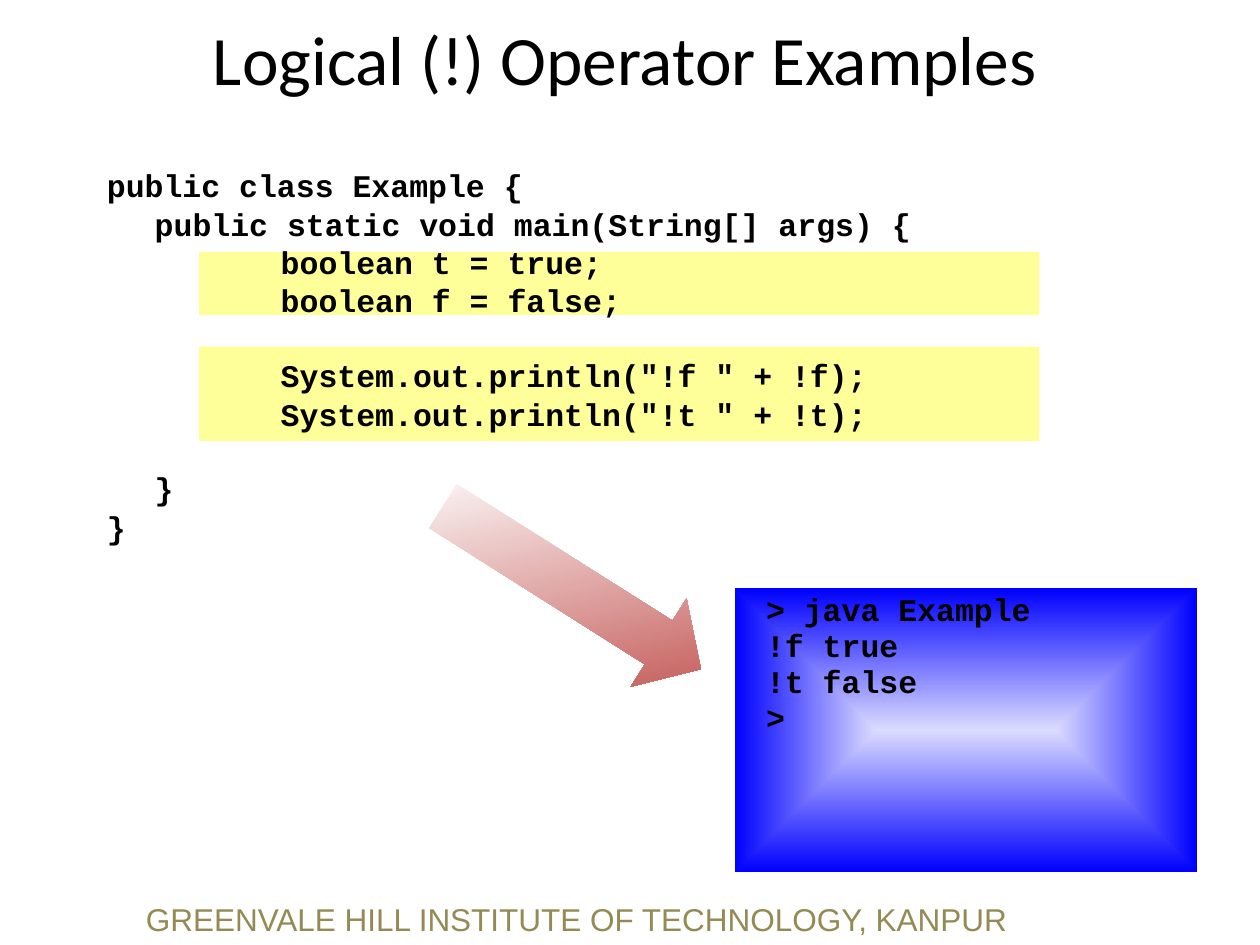
from dataclasses import dataclass

from lxml.etree import SubElement
from pptx import Presentation
from pptx.dml.color import RGBColor
from pptx.enum.shapes import MSO_SHAPE
from pptx.enum.text import MSO_ANCHOR, PP_ALIGN
from pptx.oxml.ns import qn
from pptx.util import Inches, Pt

HUES = {
    "black": "000000", "white": "FFFFFF", "yellow": "FFFF99",
    "red": "C0504D", "pale": "DBDBFF", "blue": "0000FF", "olive": "948A54",
}
MONO = {"name": "Courier New", "size": Pt(18), "bold": True}


@dataclass
class Box:
    left: float
    top: float
    width: float
    height: float

    def emus(self) -> list:
        return [Inches(v) for v in (self.left, self.top, self.width, self.height)]


@dataclass
class Line:
    text: str
    level: int = 0
    gap: bool = False  # one empty row above


def hue(name: str) -> RGBColor:
    return RGBColor.from_string(HUES[name])


def add_shape(slide, kind, box: Box):
    shape = slide.shapes.add_shape(kind, *box.emus())
    shape.shadow.inherit = False
    shape.line.fill.background()
    return shape


def blend(shape, first: str, last: str) -> None:
    shape.fill.gradient()
    for stop, name, place in zip(shape.fill.gradient_stops, (first, last), (0, 1)):
        stop.color.rgb = hue(name)
        stop.position = place


def add_text(slide, box: Box):
    frame = slide.shapes.add_textbox(*box.emus()).text_frame
    frame.word_wrap = True
    return frame


def write(frame, lines: list, font: dict, color: str = "black", **style) -> list:
    paras = []
    for i, text in enumerate(lines):
        para = frame.add_paragraph() if i else frame.paragraphs[0]
        run = para.add_run()
        run.text = text
        run.font.color.rgb = hue(color)
        for key, value in font.items():
            setattr(run.font, key, value)
        for key, value in style.items():
            setattr(para, key, value)
        paras.append(para)
    return paras


CODE = [
    Line("public class Example {"),
    Line("public static void main(String[] args) {", 1),
    Line("boolean t = true;", 2),
    Line("boolean f = false;", 2),
    Line('System.out.println("!f " + !f);', 2, True),
    Line('System.out.println("!t " + !t);', 2),
    Line("}", 1, True),
    Line("}"),
]
INDENTS = (0, 0.38, 1.38)
BANDS = [Box(1.58, 2, 6.67, 0.5), Box(1.58, 2.75, 6.67, 0.75)]
LEAD, ROW = 4.6, 20.9  # space before a line, full line pitch


def main() -> None:
    deck = Presentation()
    deck.slide_width, deck.slide_height = Inches(10), Inches(7.5)
    slide = deck.slides.add_slide(deck.slide_layouts[6])

    # Title
    frame = add_text(slide, Box(0.42, 0.17, 9.08, 0.58))
    frame.vertical_anchor = MSO_ANCHOR.MIDDLE
    write(frame, ["Logical (!) Operator Examples"],
          {"name": "Calibri", "size": Pt(39.6)}, alignment=PP_ALIGN.CENTER)

    # Arrow from code to output
    arrow = add_shape(slide, MSO_SHAPE.RIGHT_ARROW, Box(3.33, 4.25, 2.42, 0.83))
    arrow.rotation = 32.3
    arrow.adjustments[0], arrow.adjustments[1] = 0.494, 0.478
    blend(arrow, "white", "red")
    arrow.fill.gradient_angle = 315

    # Highlight bands
    for box in BANDS:
        band = add_shape(slide, MSO_SHAPE.RECTANGLE, box)
        band.fill.solid()
        band.fill.fore_color.rgb = hue("yellow")

    # Code
    frame = add_text(slide, Box(0.75, 1.33, 7.67, 3.33))
    paras = write(frame, [line.text for line in CODE], MONO, line_spacing=0.8)
    for para, line in zip(paras, CODE):
        para.space_before = Pt(LEAD + ROW * line.gap)
        para._p.get_or_add_pPr().set("marL", str(Inches(INDENTS[line.level])))

    # Output console
    panel = add_shape(slide, MSO_SHAPE.RECTANGLE, Box(5.83, 4.67, 3.67, 2.25))
    blend(panel, "pale", "blue")
    grad = panel._element.spPr.find(qn("a:gradFill"))
    grad.remove(grad.find(qn("a:lin")))
    focus = SubElement(grad, qn("a:path"), {"path": "shape"})
    SubElement(focus, qn("a:fillToRect"), dict.fromkeys("ltrb", "50000"))
    frame = panel.text_frame
    frame.word_wrap = True
    frame.margin_left = Inches(0.25)
    frame.vertical_anchor = MSO_ANCHOR.TOP
    write(frame, ["> java Example", "!f true", "!t false", ">"], MONO,
          line_spacing=0.9, space_before=Pt(1), alignment=PP_ALIGN.LEFT)

    # Footer
    frame = add_text(slide, Box(1.06, 7.09, 7.33, 0.4))
    write(frame, ["GREENVALE HILL INSTITUTE OF TECHNOLOGY, KANPUR"],
          {"name": "Arial", "size": Pt(18)}, "olive")

    deck.save("out.pptx")


if __name__ == "__main__":
    main()
